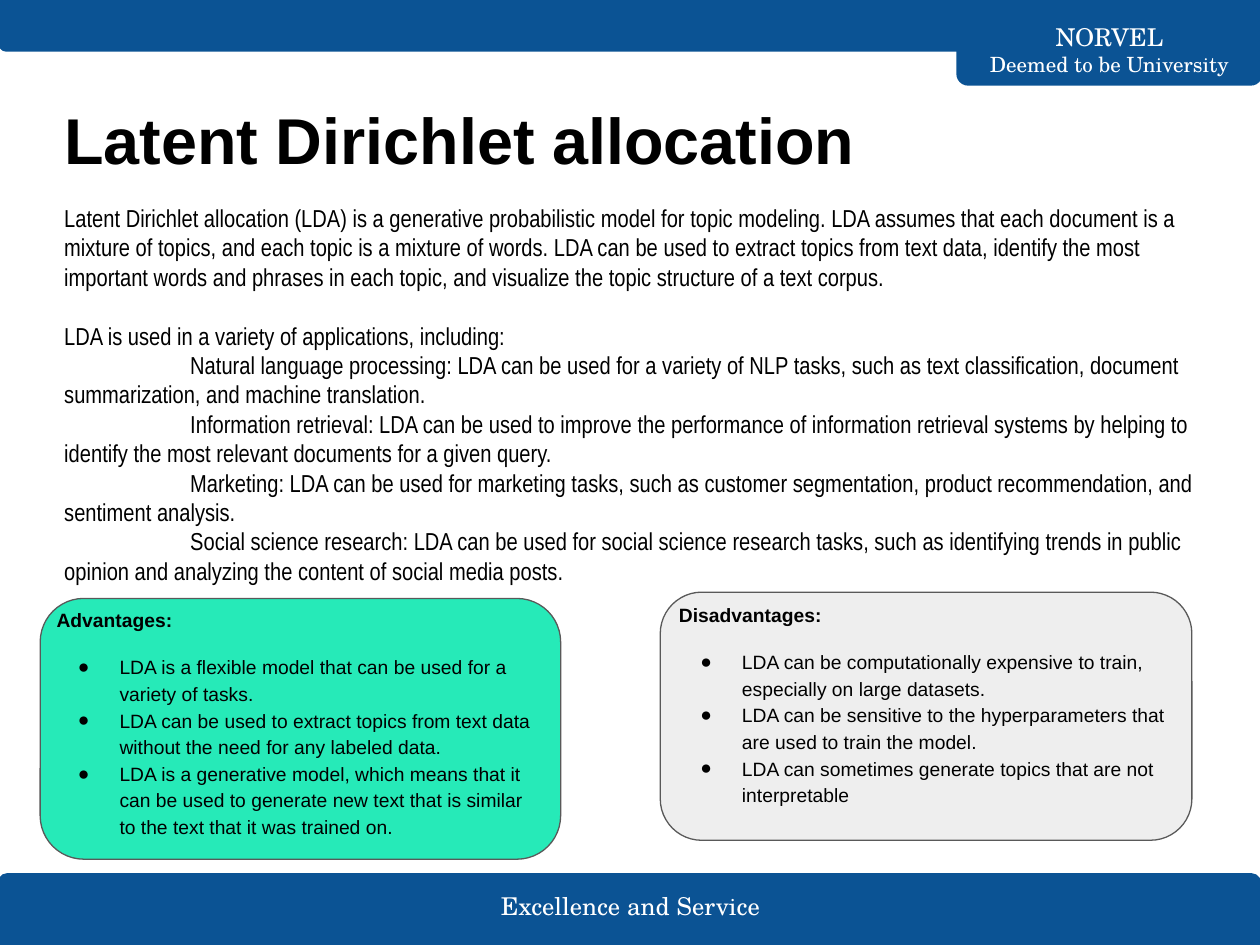
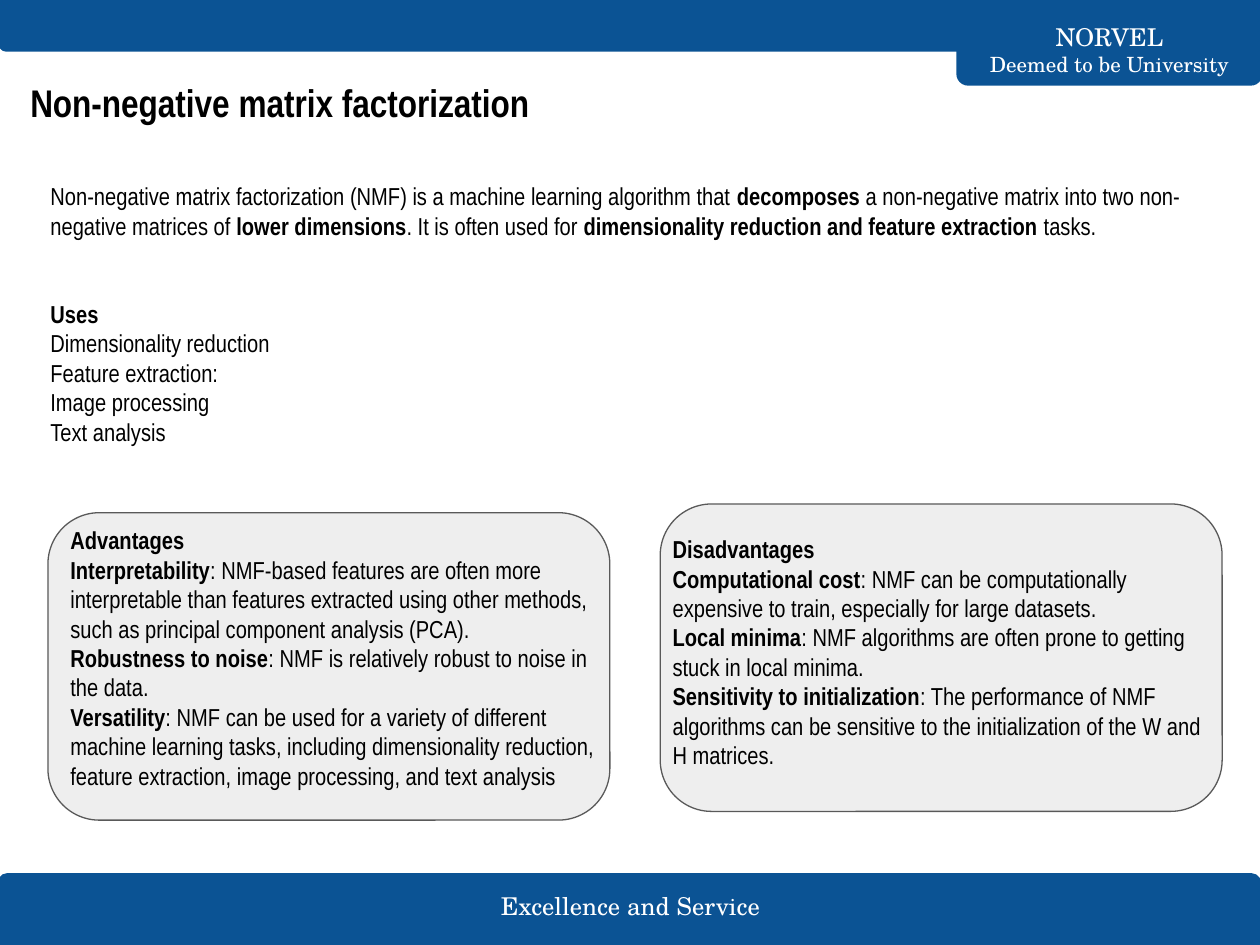
from dataclasses import dataclass
from pptx import Presentation
from pptx.dml.color import RGBColor as Rgb
from pptx.enum.shapes import MSO_SHAPE as Kind
from pptx.enum.text import MSO_ANCHOR as Anchor, MSO_AUTO_SIZE as Fit, PP_ALIGN as Align
from pptx.oxml.ns import qn
from pptx.util import Pt
from lxml.etree import SubElement as Sub


@dataclass(frozen=True)
class Theme:
    blue: str = "0B5394"
    green: str = "26EAB8"
    grey: str = "EEEEEE"
    edge: str = "595959"
    ink: str = "000000"
    white: str = "FFFFFF"
    sans: str = "Arial"
    slim: str = "Arial Narrow"
    serif: str = "TeX Gyre Schola"
    huge: float = 37
    large: float = 22
    base: float = 14
    note: float = 12
    small: float = 11
    inset: float = 7.2


@dataclass
class Line:
    text: str
    gap: float = 0
    left: float = 0
    first: float = 0
    mark: str = ""
    size: float = 0


look = Theme()


def write(frame, lines, face, size, ink=look.ink, lead=1.0, align=Align.LEFT, anchor=Anchor.TOP):
    frame.word_wrap = True
    frame.auto_size = Fit.NONE
    frame.vertical_anchor = anchor
    frame.margin_left = frame.margin_right = Pt(look.inset)
    frame.margin_top = frame.margin_bottom = Pt(look.inset)
    for num, line in enumerate(lines):
        par = frame.add_paragraph() if num else frame.paragraphs[0]
        par.alignment = align
        par.line_spacing = lead
        par.space_before = Pt(line.gap)
        par.space_after = Pt(0)
        props = par._p.get_or_add_pPr()
        props.set("marL", str(Pt(line.left)))
        props.set("indent", str(Pt(line.first)))
        if line.mark:
            Sub(props, qn("a:buFont"), typeface=face)
            Sub(props, qn("a:buChar"), char=line.mark)
        else:
            Sub(props, qn("a:buNone"))
        for part, words in enumerate(line.text.split("*")):
            if words:
                run = par.add_run()
                run.text = words
                run.font.name = face
                run.font.size = Pt(line.size or size)
                run.font.bold = part % 2 == 1
                run.font.color.rgb = Rgb.from_string(ink)


def panel(slide, kind, spot, fill, edge, width, bends):
    shape = slide.shapes.add_shape(kind, *map(Pt, spot))
    shape.shadow.inherit = False
    shape.fill.solid()
    shape.fill.fore_color.rgb = Rgb.from_string(fill)
    shape.line.color.rgb = Rgb.from_string(edge)
    shape.line.width = Pt(width)
    for num, bend in enumerate(bends):
        shape.adjustments[num] = bend
    return shape


bullet = dict(left=36, first=-23.8, mark="●")
plain = dict(face=look.slim, size=look.base)
tight = dict(face=look.sans, size=look.small, lead=1.15)

pages = [
    dict(
        title=((29.5, 43.2, 500.4, 35.3), Line("*Latent Dirichlet allocation*", gap=18),
               dict(face=look.sans, size=look.huge, lead=1.15)),
        body=((29.5, 108.7, 668.9, 371.5), [
            Line("Latent Dirichlet allocation (LDA) is a generative probabilistic model for topic modeling. "
                 "LDA assumes that each document is a mixture of topics, and each topic is a mixture of words. "
                 "LDA can be used to extract topics from text data, identify the most important words and "
                 "phrases in each topic, and visualize the topic structure of a text corpus."),
            Line("LDA is used in a variety of applications, including:", gap=16.8),
            Line("Natural language processing: LDA can be used for a variety of NLP tasks, such as text "
                 "classification, document summarization, and machine translation.", first=72),
            Line("Information retrieval: LDA can be used to improve the performance of information retrieval "
                 "systems by helping to identify the most relevant documents for a given query.", first=72),
            Line("Marketing: LDA can be used for marketing tasks, such as customer segmentation, product "
                 "recommendation, and sentiment analysis.", first=72),
            Line("Social science research: LDA can be used for social science research tasks, such as "
                 "identifying trends in public opinion and analyzing the content of social media posts.",
                 first=72),
        ]),
        cards=[
            ((377.3, 338.4, 303.8, 141.8), look.grey, (380.9, 335.5, 303.8, 149), [
                Line("*Disadvantages:*", gap=12),
                Line("LDA can be computationally expensive to train, especially on large datasets.",
                     gap=12, **bullet),
                Line("LDA can be sensitive to the hyperparameters that are used to train the model.", **bullet),
                Line("LDA can sometimes generate topics that are not interpretable", **bullet),
            ]),
            ((23, 342, 297.4, 149), look.green, (25.2, 338.4, 287.3, 141.8), [
                Line("*Advantages:*", gap=12),
                Line("LDA is a flexible model that can be used for a variety of tasks.", gap=12, **bullet),
                Line("LDA can be used to extract topics from text data without the need for any labeled data.",
                     **bullet),
                Line("LDA is a generative model, which means that it can be used to generate new text that is "
                     "similar to the text that it was trained on.", **bullet),
            ]),
        ],
        style=tight,
    ),
    dict(
        title=((10.1, 38.2, 482.4, 46.1), Line("*Non-negative matrix factorization*"),
               dict(face=look.slim, size=look.large)),
        body=((21.6, 96.5, 676.8, 64.8), [
            Line("Non-negative matrix factorization (NMF) is a machine learning algorithm that *decomposes *a "
                 "non-negative matrix into two non-negative matrices of *lower dimensions*. It is often used "
                 "for *dimensionality reduction and feature extraction* tasks."),
            Line("*Uses*", gap=33.6),
            Line("Dimensionality reduction"),
            Line("Feature extraction:"),
            Line("Image processing"),
            Line("Text analysis"),
        ]),
        cards=[
            ((377.3, 288, 321.1, 175.7), look.grey, (377.3, 298.1, 321.1, 167.8), [
                Line("*Disadvantages*"),
                Line("*Computational cost*: NMF can be computationally expensive to train, especially for "
                     "large datasets."),
                Line("*Local minima*: NMF algorithms are often prone to getting stuck in local minima."),
                Line("*Sensitivity to initialization*: The performance of NMF algorithms can be sensitive to "
                     "the initialization of the W and H matrices."),
            ]),
            ((27.4, 293, 321.1, 175.7), look.grey, (33.1, 293, 319, 164.9), [
                Line("*Advantages*"),
                Line("*Interpretability*: NMF-based features are often more interpretable than features "
                     "extracted using other methods, such as principal component analysis (PCA)."),
                Line("*Robustness to noise*: NMF is relatively robust to noise in the data."),
                Line("*Versatility*: NMF can be used for a variety of different machine learning tasks, "
                     "including dimensionality reduction, feature extraction, image processing, and text "
                     "analysis"),
            ]),
        ],
        style=plain,
    ),
]

deck = Presentation()
deck.slide_width, deck.slide_height = Pt(720), Pt(540)
base = deck.slide_layouts[1]
for holder in list(base.placeholders):
    if holder.placeholder_format.idx >= 10:
        base.shapes.element.remove(holder.element)

slides = [deck.slides.add_slide(base) for page in pages]

shared = []
for spot, turn in [((-0.7, 499.7, 720.7, 40.3), 0),
                   ((547.2, 0, 173.5, 48.2), 180),
                   ((0, 0, 720.7, 28.8), 180)]:
    band = panel(slides[0], Kind.ROUND_2_SAME_RECTANGLE, spot, look.blue, look.blue, 1.5, (0.125, 0))
    band.rotation = turn
    shared.append(band)
for spot, lines in [((263.5, 506.2, 193.7, 23), [Line("Excellence and Service")]),
                    ((547.2, 19.4, 173.5, 18),
                     [Line("NORVEL"), Line("Deemed to be University", size=look.note)])]:
    label = slides[0].shapes.add_textbox(*map(Pt, spot))
    write(label.text_frame, lines, look.serif, look.base, look.white,
          align=Align.CENTER, anchor=Anchor.MIDDLE)
    shared.append(label)
for item in shared:
    base.shapes.element.append(item.element)

for slide, page in zip(slides, pages):
    title, body = slide.shapes.title, slide.placeholders[1]
    spot, head, style = page["title"]
    title.left, title.top, title.width, title.height = map(Pt, spot)
    write(title.text_frame, [head], **style)
    spot, lines = page["body"]
    body.left, body.top, body.width, body.height = map(Pt, spot)
    write(body.text_frame, lines, **plain)
    for spot, fill, area, lines in page["cards"]:
        panel(slide, Kind.ROUNDED_RECTANGLE, spot, fill, look.edge, 0.75, (0.167,))
        box = slide.shapes.add_textbox(*map(Pt, area))
        write(box.text_frame, lines, **page["style"])

deck.save("out.pptx")
